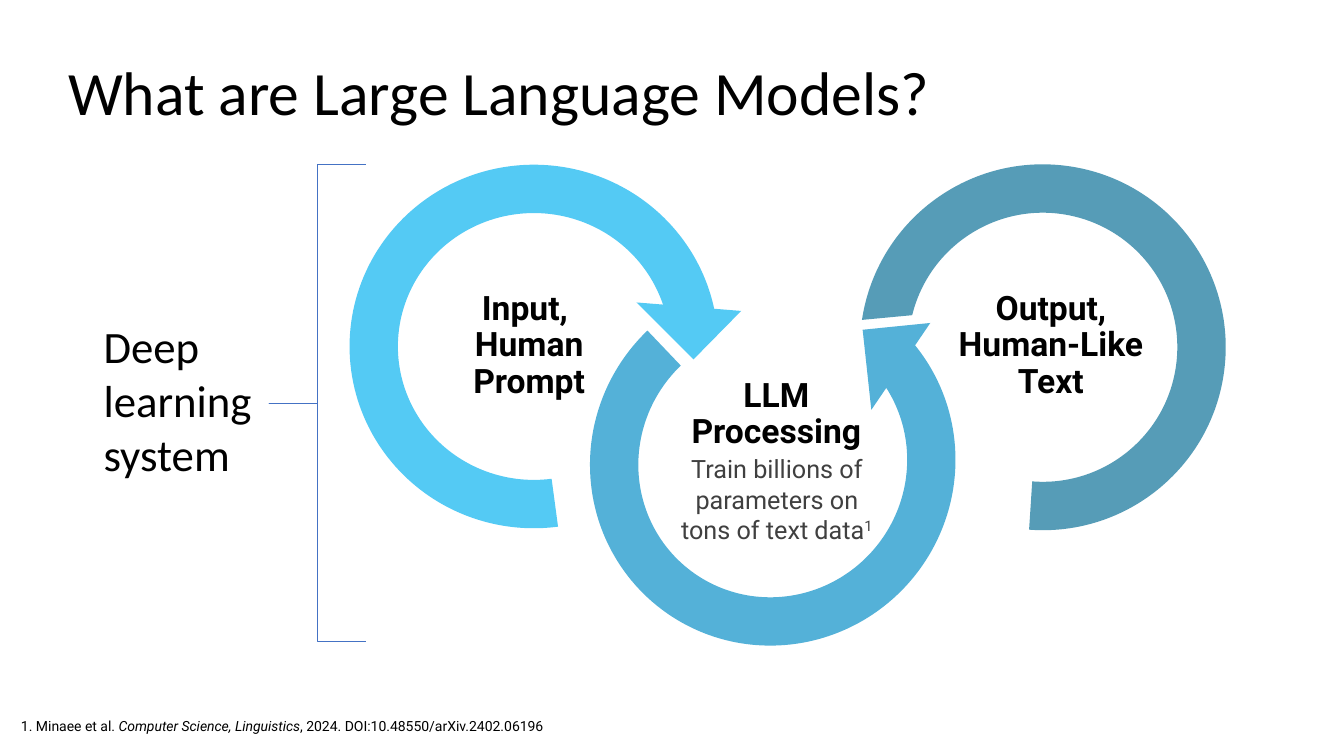
from math import cos, radians, sin, tan

from lxml import etree
from pptx import Presentation
from pptx.dml.color import RGBColor
from pptx.enum.shapes import MSO_SHAPE
from pptx.enum.text import MSO_ANCHOR, PP_ALIGN
from pptx.oxml.ns import qn
from pptx.util import Cm, Pt

CIRCULAR_ARROW = MSO_SHAPE.CIRCULAR_ARROW
LEFT_BRACE = MSO_SHAPE.LEFT_BRACE
TOP, MIDDLE, BOTTOM = MSO_ANCHOR.TOP, MSO_ANCHOR.MIDDLE, MSO_ANCHOR.BOTTOM
LEFT, CENTER = PP_ALIGN.LEFT, PP_ALIGN.CENTER

COLORS = {
    "text": "000000",
    "detail": "404040",
    "bracket": "4472C4",
    "input": "00B0F0",
    "processing": "008CC6",
    "output": "036C94",
}
RING_OPACITY = 67000
ARROW_WIDTH, ARROW_HEIGHT = 10.59, 10.72
ARROW_ADJUSTMENTS = (0.115, 11.423, 45.364, 103.416, 0.125)
LABEL_WIDTH, LABEL_HEIGHT = 5.59, 2.79
LABEL_MARGIN = 0.03
OUTER_RADIUS, INNER_RADIUS = 4.61, 3.39
OPEN_RING_ROTATION = 266


def color(name):
    return RGBColor.from_string(COLORS[name])


def format_run(run, size, font_name, color_name="text", bold=None):
    run.font.size = Pt(size)
    run.font.name = font_name
    run.font.bold = bold
    run.font.color.rgb = color(color_name)


def fill_text(shape, text, size, font_name, color_name="text", bold=None,
              align=LEFT, anchor=TOP, line_spacing=None):
    """Write one formatted paragraph into the shape and return it."""
    frame = shape.text_frame
    frame.word_wrap = True
    frame.vertical_anchor = anchor
    paragraph = frame.paragraphs[0]
    paragraph.text = text
    paragraph.alignment = align
    paragraph.line_spacing = line_spacing
    for run in paragraph.runs:
        format_run(run, size, font_name, color_name, bold)
    return paragraph


def add_text(slide, box, text, size, font_name, **options):
    """Add a text box; box is left, top, width, height in cm."""
    shape = slide.shapes.add_textbox(*map(Cm, box))
    return fill_text(shape, text, size, font_name, **options)


def append_run(paragraph, text, size, color_name="text"):
    run = paragraph.add_run()
    run.text = text
    format_run(run, size, "Roboto", color_name)
    return run


def add_outline(slide, left, top, width, height):
    """Add a rectangular freeform without line or shadow."""
    right, bottom = left + width, top + height
    builder = slide.shapes.build_freeform(Cm(left), Cm(top), scale=1.0)
    corners = [(right, top), (right, bottom), (left, bottom)]
    builder.add_line_segments([(Cm(x), Cm(y)) for x, y in corners], close=True)
    shape = builder.convert_to_shape()
    shape.shadow.inherit = False
    shape.line.fill.background()
    return shape


def add_ring_label(slide, left, top, text):
    shape = add_outline(slide, left, top, LABEL_WIDTH, LABEL_HEIGHT)
    shape.fill.background()
    frame = shape.text_frame
    frame.margin_left = frame.margin_right = Cm(LABEL_MARGIN)
    frame.margin_top = frame.margin_bottom = Cm(LABEL_MARGIN)
    fill_text(shape, text, 24, "Roboto", bold=True, align=CENTER,
              anchor=MIDDLE, line_spacing=0.9)


def paint_ring(shape, color_name):
    """Give a ring its translucent fill, without outline or shadow."""
    shape.shadow.inherit = False
    shape.line.fill.background()
    shape.fill.solid()
    shape.fill.fore_color.rgb = color(color_name)
    fill_color = shape._element.spPr.find(qn("a:solidFill")).find(qn("a:srgbClr"))
    etree.SubElement(fill_color, qn("a:alpha")).set("val", str(RING_OPACITY))


def add_ring_arrow(slide, left, top, rotation, color_name, flipped=False):
    shape = slide.shapes.add_shape(CIRCULAR_ARROW, Cm(left), Cm(top),
                                   Cm(ARROW_WIDTH), Cm(ARROW_HEIGHT))
    for index, value in enumerate(ARROW_ADJUSTMENTS):
        shape.adjustments[index] = value
    shape.rotation = rotation
    if flipped:
        shape._element.spPr.find(qn("a:xfrm")).set("flipV", "1")
    paint_ring(shape, color_name)


def ring_point(radius, angle, handle=0):
    """Point on a circle in the ring's frame, moved along its tangent by handle."""
    turn = radians(angle - OPEN_RING_ROTATION)
    return (OUTER_RADIUS + radius * cos(turn) - handle * sin(turn),
            OUTER_RADIUS + radius * sin(turn) + handle * cos(turn))


def arc_curves(radius, start, end, count=3):
    """Split an arc into equal cubic curves, three points each."""
    step = (end - start) / count
    handle = radius * 4 / 3 * tan(radians(step / 4))
    angles = [start + step * index for index in range(count)]
    return [(ring_point(radius, angle, handle),
             ring_point(radius, angle + step, -handle),
             ring_point(radius, angle + step)) for angle in angles]


def add_open_ring(slide, center_x, center_y, color_name):
    shape = add_outline(slide, center_x - OUTER_RADIUS, center_y - OUTER_RADIUS,
                        2 * OUTER_RADIUS, 2 * OUTER_RADIUS)
    outline = next(shape._element.iter(qn("a:path")))
    for child in list(outline):
        outline.remove(child)

    def add_command(name, points=()):
        command = etree.SubElement(outline, qn(name))
        for x, y in points:
            point = etree.SubElement(command, qn("a:pt"))
            point.set("x", str(int(Cm(x))))
            point.set("y", str(int(Cm(y))))

    add_command("a:moveTo", [ring_point(OUTER_RADIUS, 94.3)])
    for curve in arc_curves(OUTER_RADIUS, 94.3, -171.4):
        add_command("a:cubicBezTo", curve)
    add_command("a:lnTo", [ring_point(INNER_RADIUS, -166.2)])
    for curve in arc_curves(INNER_RADIUS, -166.2, 94.5):
        add_command("a:cubicBezTo", curve)
    add_command("a:close")
    shape.rotation = OPEN_RING_ROTATION
    paint_ring(shape, color_name)


def add_bracket(slide, box):
    shape = slide.shapes.add_shape(LEFT_BRACE, *map(Cm, box))
    shape.adjustments[0] = 0
    shape.adjustments[1] = 0.5
    shape.shadow.inherit = False
    shape.fill.background()
    shape.line.color.rgb = color("bracket")
    shape.line.width = Pt(0.5)


def main():
    presentation = Presentation()
    presentation.slide_width = Cm(33.87)
    presentation.slide_height = Cm(19.05)
    slide = presentation.slides.add_slide(presentation.slide_layouts[6])

    add_text(slide, (1.47, 0.79, 29.39, 2.57), "What are Large Language Models?",
             44, "Calibri", anchor=BOTTOM, line_spacing=0.9)

    add_ring_arrow(slide, 8.16, 3.37, 270, "input")
    add_ring_label(slide, 10.54, 7.32, "Input, \vHuman Prompt")
    add_ring_label(slide, 16.77, 9.06, "LLM Processing")
    add_ring_label(slide, 23.69, 7.32, "Output, Human-Like Text")

    add_text(slide, (2.36, 7.91, 5.64, 4.37), "Deep learning system", 32, "Calibri")
    add_bracket(slide, (6.78, 4.15, 2.44, 12.01))

    add_ring_arrow(slide, 14.18, 6.29, 38.8, "processing", flipped=True)
    add_open_ring(slide, 26.28, 8.75, "output")

    detail = add_text(slide, (16.71, 11.31, 5.74, 2.57),
                      "Train billions of parameters on tons of text data",
                      18, "Roboto", color_name="detail", align=CENTER)
    mark = append_run(detail, "1", 18, "detail")
    mark.font._element.set("baseline", "30000")

    citation = add_text(slide, (0.28, 17.96, 16.94, 0.69), "1. Minaee et al. ", 10, "Roboto")
    append_run(citation, "Computer Science, Linguistics", 10).font.italic = True
    append_run(citation, ", 2024. DOI:10.48550/arXiv.2402.06196", 10)

    presentation.save("out.pptx")


if __name__ == "__main__":
    main()
